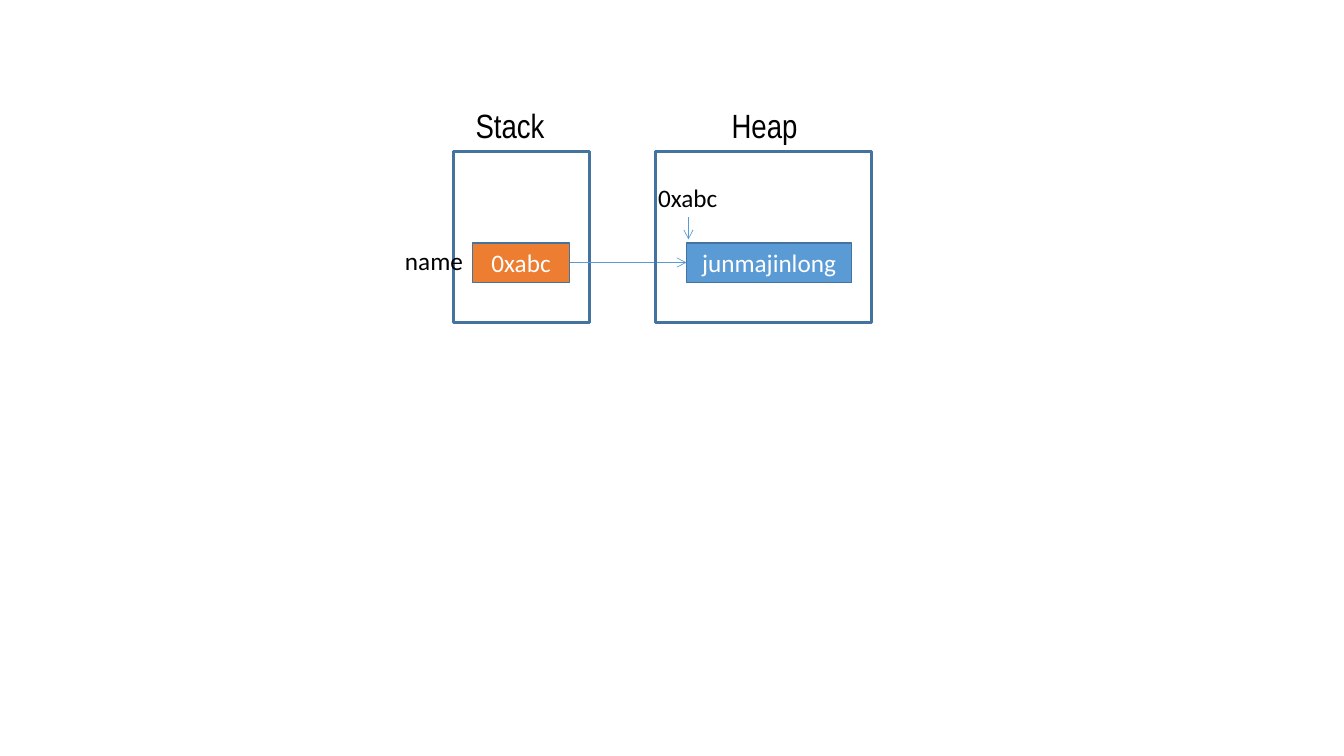
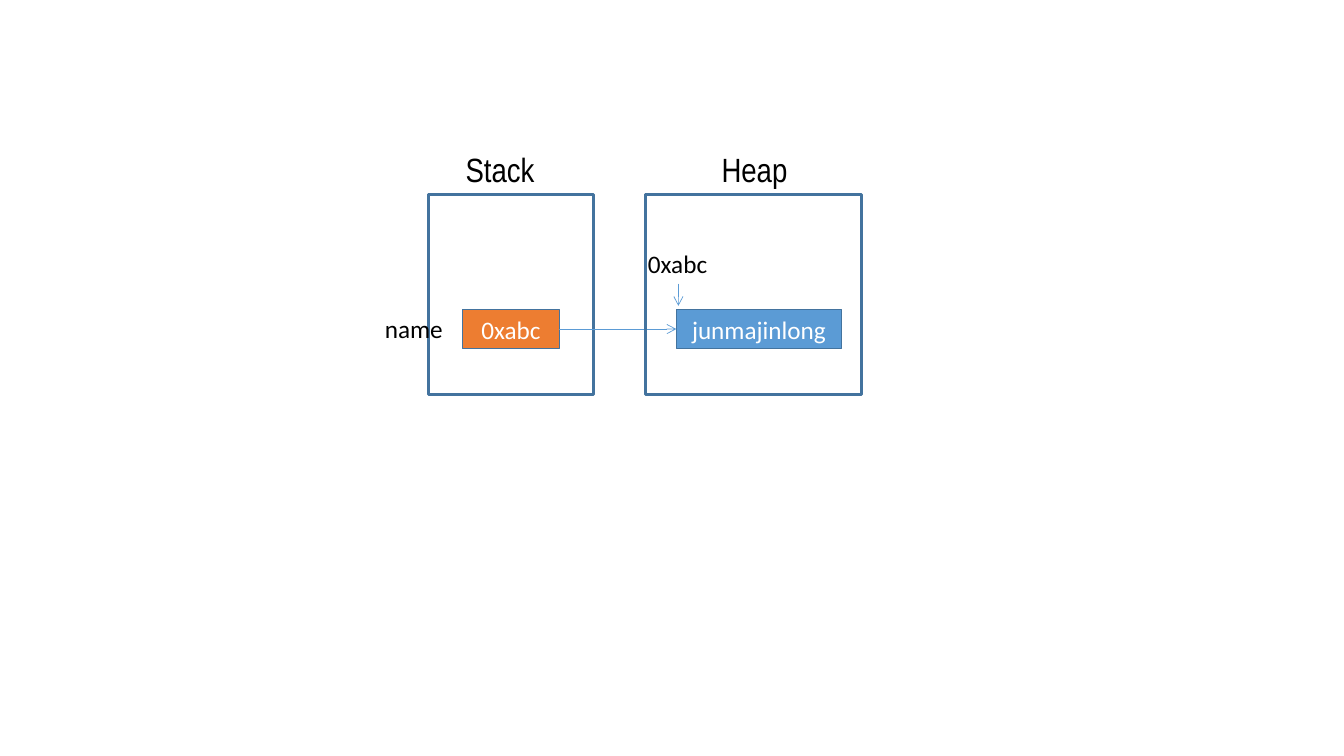
import pptx
import pptx.util
import pptx.dml.color
import pptx.enum.shapes
import pptx.enum.text
import pptx.oxml
import pptx.oxml.ns
from dataclasses import dataclass

Pt = pptx.util.Pt
ALIGN = pptx.enum.text.PP_ALIGN


@dataclass(frozen=True)
class Theme:
    """Colours, fonts and sizes shared by the slides."""
    edge: str = "43739E"
    blue: str = "5B9BD5"
    orange: str = "ED7D31"
    white: str = "FFFFFF"
    black: str = "000000"
    body: str = "Calibri"
    head: str = "Arial Narrow"
    small: int = 18
    large: int = 24
    thick: float = 2.25
    thin: float = 1
    hair: float = 0.5


def rgb(code):
    """Turn a hex code into a colour."""
    return pptx.dml.color.RGBColor.from_string(code)


class Deck:
    """Draws styled elements on the current slide."""

    def __init__(self, theme):
        """Start an empty wide deck."""
        self.theme = theme
        self.show = pptx.Presentation()
        self.show.slide_width, self.show.slide_height = Pt(960), Pt(540)
        self.slide = None

    def page(self):
        """Add a blank slide and make it current."""
        self.slide = self.show.slides.add_slide(self.show.slide_layouts[6])

    def put(self, shape, text, font, size, color, align):
        """Put one line of styled text in a shape."""
        frame = shape.text_frame
        frame.text = text
        frame.word_wrap = False
        line = frame.paragraphs[0]
        line.alignment = align
        face = line.runs[0].font
        face.name, face.size = font, Pt(size)
        face.color.rgb = rgb(color)

    def rect(self, x, y, w, h, width):
        """Add an outlined rectangle without fill."""
        shape = self.slide.shapes.add_shape(
            pptx.enum.shapes.MSO_SHAPE.RECTANGLE, Pt(x), Pt(y), Pt(w), Pt(h))
        shape.shadow.inherit = False
        shape.fill.background()
        shape.line.color.rgb = rgb(self.theme.edge)
        shape.line.width = Pt(width)
        return shape

    def cell(self, x, y, w, h, text, fill):
        """Add a filled memory cell with centred text."""
        t = self.theme
        shape = self.rect(x, y, w, h, t.thin)
        shape.fill.solid()
        shape.fill.fore_color.rgb = rgb(fill)
        self.put(shape, text, t.body, t.small, t.white, ALIGN.CENTER)
        shape.text_frame.vertical_anchor = pptx.enum.text.MSO_ANCHOR.MIDDLE

    def label(self, x, y, w, text, title=False):
        """Add a text label, larger when it is a title."""
        t = self.theme
        font, size, h = (t.head, t.large, 36) if title else (t.body, t.small, 28.8)
        box = self.slide.shapes.add_textbox(Pt(x), Pt(y), Pt(w), Pt(h))
        self.put(box, text, font, size, t.black, ALIGN.LEFT)
        box.text_frame.auto_size = pptx.enum.text.MSO_AUTO_SIZE.SHAPE_TO_FIT_TEXT

    def arrow(self, x1, y1, x2, y2):
        """Add a thin line with an open arrowhead at its end."""
        line = self.slide.shapes.add_connector(
            pptx.enum.shapes.MSO_CONNECTOR.STRAIGHT, Pt(x1), Pt(y1), Pt(x2), Pt(y2))
        line.line.color.rgb = rgb(self.theme.blue)
        line.line.width = Pt(self.theme.hair)
        ns = pptx.oxml.ns.nsdecls("a")
        props = line.element.spPr
        tip = pptx.oxml.parse_xml(f'<a:tailEnd {ns} type="arrow"/>')
        props.find(pptx.oxml.ns.qn("a:ln")).append(tip)
        props.append(pptx.oxml.parse_xml(f"<a:effectLst {ns}/>"))


def memory(deck, heap, top, high, stack, wide, row, name):
    """Draw a stack cell that points to a value on the heap.

    heap and stack are left edges, row is the top of the cells,
    name is the place of the variable's label.
    """
    t = deck.theme
    tall = 28.08
    mid = row + tall / 2
    value, slot, size = heap + 22.32, heap - 130.32, 69.12
    drop = heap + 23.76
    deck.page()
    deck.rect(stack, top, wide, high, t.thick)
    deck.cell(value, row, 118.08, tall, "junmajinlong", t.blue)
    deck.cell(slot, row, size, tall, "0xabc", t.orange)
    deck.arrow(slot + size, mid, value, mid)
    deck.label(heap - 5.04, row - 46.8, 56.88, "0xabc")
    deck.arrow(drop, row - 18.4, drop, row - 2.5)
    deck.label(*name, 56.16, "name")
    deck.rect(heap, top, 154.8, high, t.thick)
    deck.label(heap - 135.36, top - 36.5, 68.4, "Stack", True)
    deck.label(heap + 47.52, top - 36.5, 63.36, "Heap", True)


deck = Deck(Theme())
memory(deck, heap=468, top=108, high=122.4, stack=324, wide=97.2,
       row=173.5, name=(282.2, 171.4))
memory(deck, heap=460.8, top=139, high=142.6, stack=306, wide=118.1,
       row=221, name=(267.8, 220.3))
deck.show.save("out.pptx")
